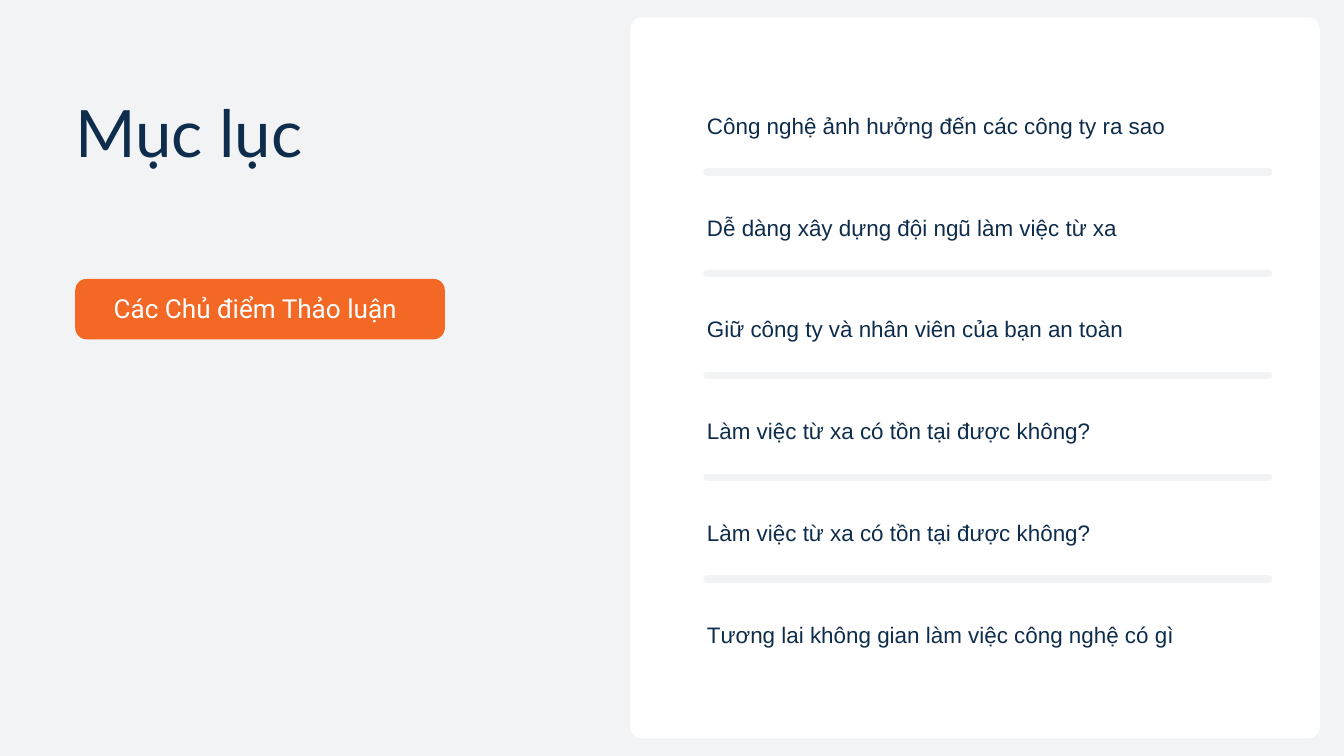
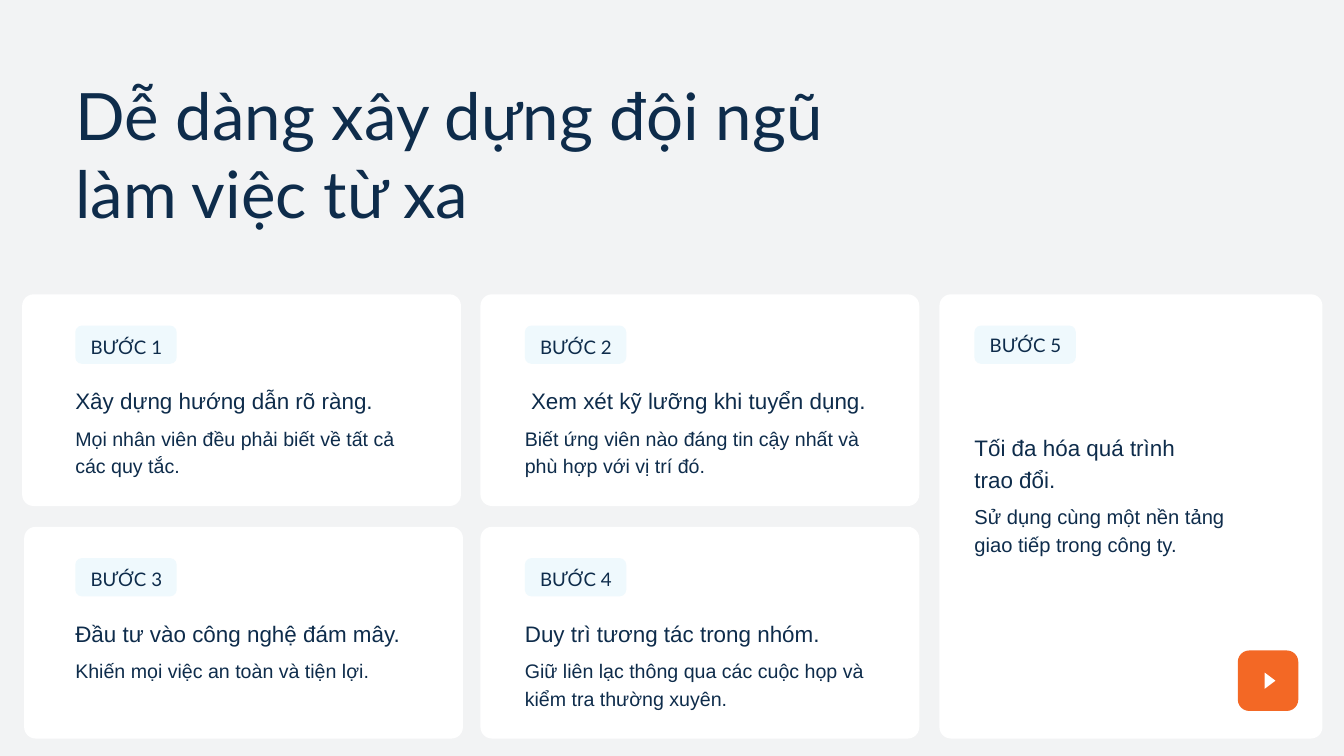
from dataclasses import dataclass

from lxml.etree import SubElement
from pptx import Presentation
from pptx.dml.color import RGBColor
from pptx.enum.shapes import MSO_CONNECTOR, MSO_SHAPE
from pptx.enum.text import MSO_ANCHOR, MSO_AUTO_SIZE, PP_ALIGN
from pptx.oxml.ns import qn
from pptx.util import Inches, Pt


@dataclass(frozen=True)
class Theme:
    back: str = "F2F3F4"
    navy: str = "0E2C4B"
    white: str = "FFFFFF"
    orange: str = "F36825"
    pale: str = "EFF9FD"
    head: str = "Lato"
    body: str = "Arial"
    badge: str = "Roboto"
    title: float = 70
    topic: float = 24
    note: float = 21
    wide: float = 21.6
    label: float = 20
    banner: float = 28


THEME = Theme()
LEFT = 1.12
TOPICS = [
    "Công nghệ ảnh hưởng đến các công ty ra sao",
    "Dễ dàng xây dựng đội ngũ làm việc từ xa",
    "Giữ công ty và nhân viên của bạn an toàn",
    "Làm việc từ xa có tồn tại được không?",
    "Làm việc từ xa có tồn tại được không?",
    "Tương lai không gian làm việc công nghệ có gì",
]
STEPS = [
    ("Xây dựng hướng dẫn rõ ràng.",
     "Mọi nhân viên đều phải biết về tất cả các quy tắc."),
    (" Xem xét kỹ lưỡng khi tuyển dụng.",
     "Biết ứng viên nào đáng tin cậy nhất và phù hợp với vị trí đó."),
    ("Đầu tư vào công nghệ đám mây.",
     "Khiến mọi việc an toàn và tiện lợi."),
    ("Duy trì tương tác trong nhóm.",
     "Giữ liên lạc thông qua các cuộc họp và kiểm tra thường xuyên."),
]


def write(frame, text, font=THEME.body, size=THEME.topic, color=THEME.navy,
          align=PP_ALIGN.LEFT, lead=33.6):
    frame.word_wrap = True
    frame.auto_size = MSO_AUTO_SIZE.NONE
    frame.vertical_anchor = MSO_ANCHOR.TOP
    frame.margin_left = frame.margin_right = 0
    frame.margin_top = frame.margin_bottom = 0
    frame.text = text
    for para in frame.paragraphs:
        para.alignment = align
        para.line_spacing = Pt(lead)
        para.font.name = font
        para.font.size = Pt(size)
        para.font.color.rgb = RGBColor.from_string(color)


class Deck:
    def __init__(self, theme):
        self.theme = theme
        self.show = Presentation()
        self.show.slide_width = Inches(20)
        self.show.slide_height = Inches(11.25)
        fill = self.show.slide_master.background.fill
        fill.solid()
        fill.fore_color.rgb = RGBColor.from_string(theme.back)
        self.slide = None

    def start(self, title, top, width, height):
        self.slide = self.show.slides.add_slide(self.show.slide_layouts[5])
        shape = self.slide.shapes.title
        shape.left, shape.top = Inches(LEFT), Inches(top)
        shape.width, shape.height = Inches(width), Inches(height)
        write(shape.text_frame, title, font=self.theme.head,
              size=self.theme.title, lead=84)

    def text(self, text, x, y, w, h, **style):
        box = self.slide.shapes.add_textbox(
            Inches(x), Inches(y), Inches(w), Inches(h))
        write(box.text_frame, text, **style)

    def shape(self, kind, x, y, w, h, color):
        shape = self.slide.shapes.add_shape(
            kind, Inches(x), Inches(y), Inches(w), Inches(h))
        shape.shadow.inherit = False
        shape.fill.solid()
        shape.fill.fore_color.rgb = RGBColor.from_string(color)
        shape.line.fill.background()
        return shape

    def card(self, x, y, w, h, color=THEME.white, curve=0.17):
        shape = self.shape(MSO_SHAPE.ROUNDED_RECTANGLE, x, y, w, h, color)
        shape.adjustments[0] = curve / min(w, h)

    def rule(self, x, y, end):
        line = self.slide.shapes.add_connector(
            MSO_CONNECTOR.STRAIGHT, Inches(x), Inches(y), Inches(end), Inches(y))
        line.line.color.rgb = RGBColor.from_string(self.theme.back)
        line.line.width = Pt(8)
        line.line._get_or_add_ln().set("cap", "rnd")
        SubElement(line._element.spPr, qn("a:effectLst"))

    def chip(self, num, x, y, drop=0.09):
        self.card(x, y, 1.51, 0.57, color=self.theme.pale, curve=0.1)
        self.text(f"BƯỚC {num}", x + 0.17, y + drop, 1.18, 0.38,
                  font=self.theme.head, size=self.theme.label,
                  align=PP_ALIGN.CENTER, lead=28)

    def play(self, x, y):
        self.card(x, y, 0.9, 0.9, color=self.theme.orange)
        mark = self.shape(MSO_SHAPE.ISOSCELES_TRIANGLE, x + 0.36, y + 0.37,
                          0.24, 0.16, self.theme.white)
        mark.rotation = 90


def add_list(deck):
    deck.start("Mục lục", 1.37, 6.75, 1.17)
    deck.card(9.38, 0.26, 10.26, 10.73)
    for i, topic in enumerate(TOPICS):
        top = 1.6 + i * 1.514
        if i < len(TOPICS) - 1:
            deck.rule(10.52, top + 0.96, 18.88)
        deck.text(topic, 10.52, top, 7.5, 0.44)
    deck.card(LEFT, 4.15, 5.5, 0.9, color=THEME.orange)
    deck.text("Các Chủ điểm Thảo luận", 1.69, 4.35, 4.58, 0.46,
              font=THEME.badge, size=THEME.banner, color=THEME.white)


def add_steps(deck):
    deck.start("Dễ dàng xây dựng đội ngũ làm việc từ xa", 1.12, 12.56, 2.33)
    first, pitch = 4.38, 3.46
    edges = [0.33, 7.15, 0.36, 7.15]
    for i, (head, note) in enumerate(STEPS):
        row, col = divmod(i, 2)
        x, top = LEFT + col * 6.69, first + row * pitch
        deck.card(edges[i], top, 6.53, 3.15)
        deck.chip(i + 1, x, top + 0.465)
        deck.text(head, x, top + 1.32, 5.22, 0.44)
        deck.text(note, x, top + 1.91, 5.22, 0.79, size=THEME.note, lead=29.4)
    x = LEFT + 2 * 6.69
    deck.card(13.98, first, 5.7, 6.61)
    deck.chip(len(STEPS) + 1, x, first + 0.465, drop=0.07)
    deck.text("Tối đa hóa quá trình\ntrao đổi.", x, 6.4, 3.92, 0.91)
    deck.text("Sử dụng cùng một nền tảng giao tiếp trong công ty.",
              x, 7.44, 3.92, 0.82, size=THEME.wide, lead=30.2)
    deck.play(18.42, 9.68)


def main():
    deck = Deck(THEME)
    add_list(deck)
    add_steps(deck)
    deck.show.save("out.pptx")


if __name__ == "__main__":
    main()
